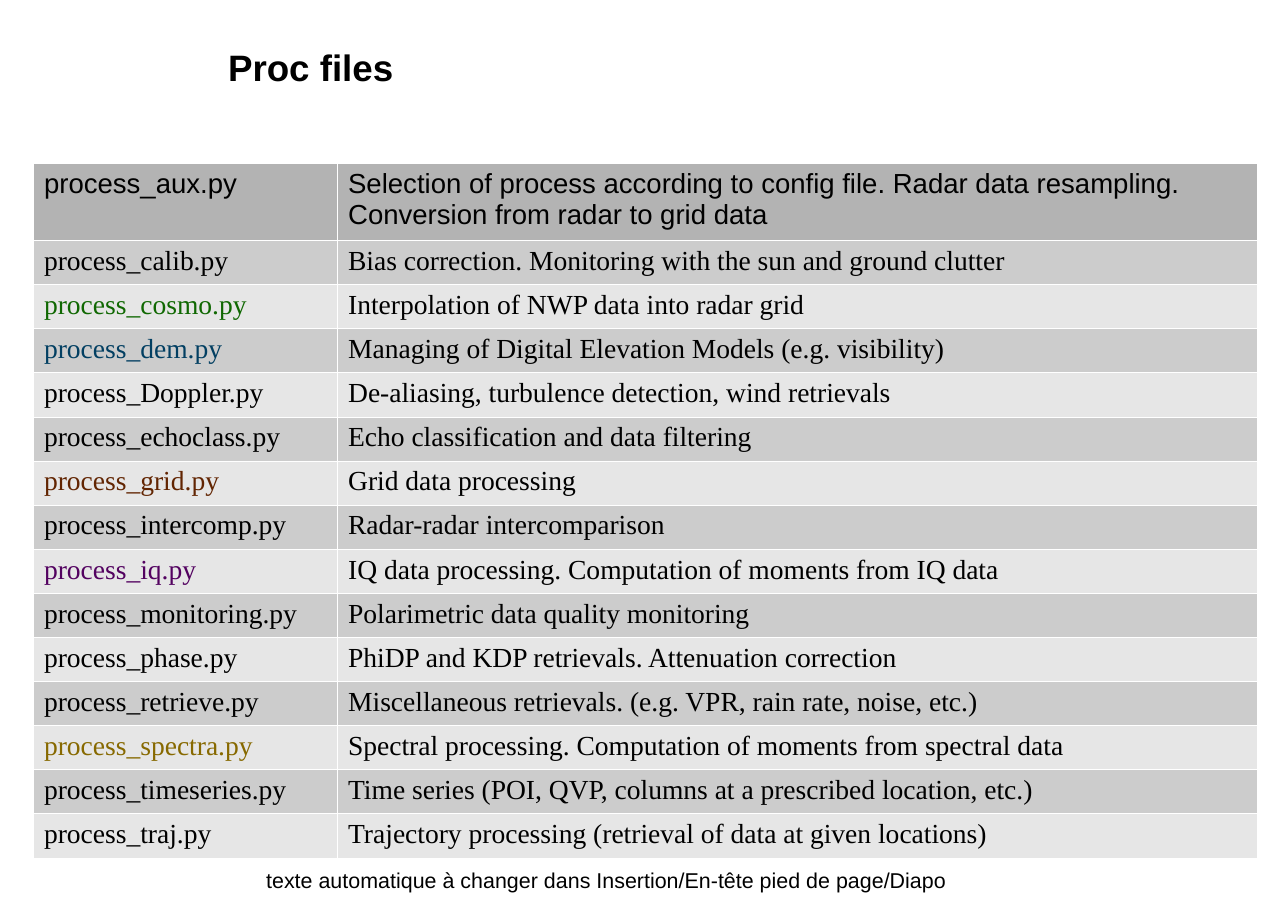
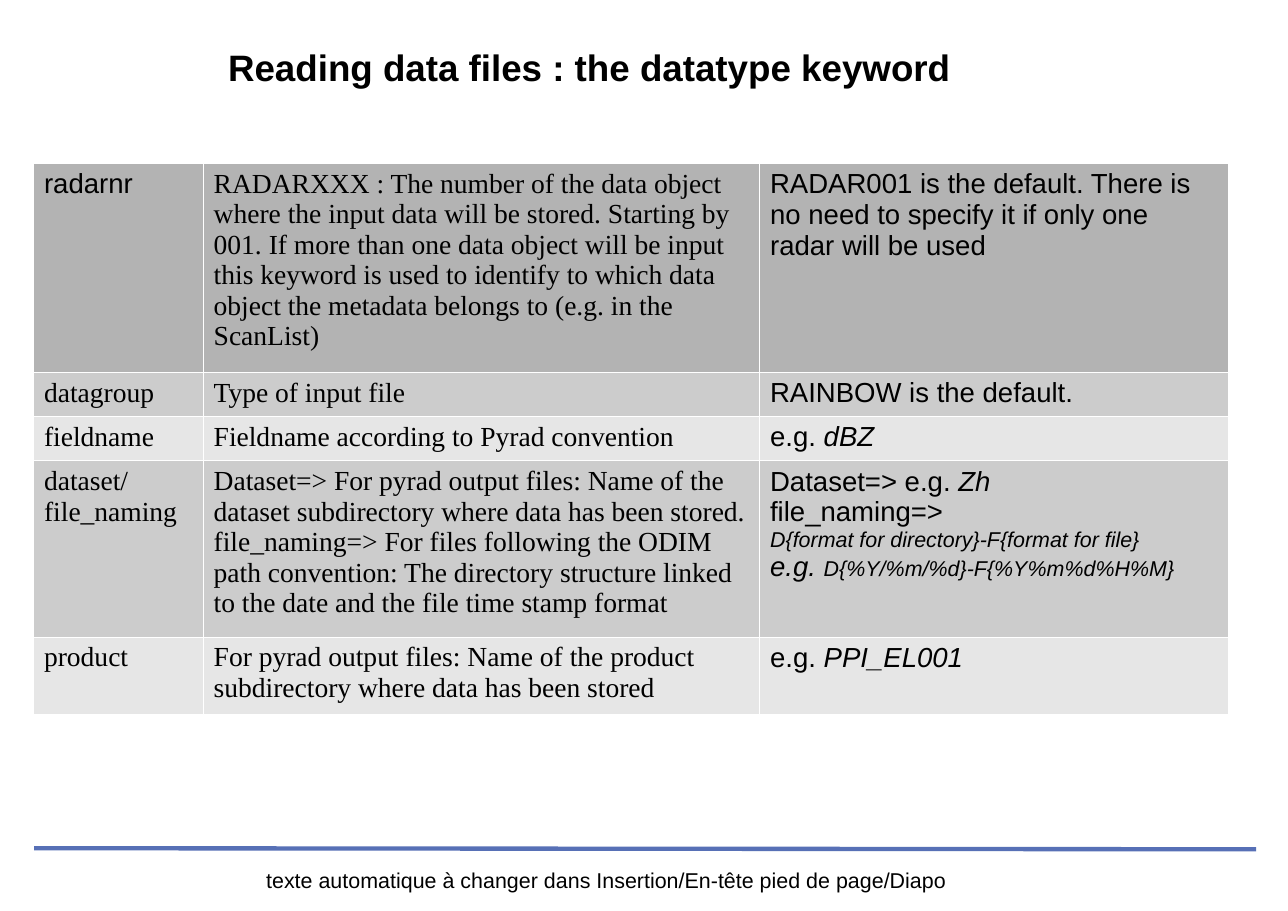
import dataclasses

import lxml.etree
import pptx
import pptx.dml.color
import pptx.enum.shapes
import pptx.enum.text
import pptx.oxml.ns
import pptx.util


@dataclasses.dataclass(frozen=True)
class Theme:
    sans: str = "Arial"
    serif: str = "Times New Roman"
    title_size: int = 24
    body_size: int = 18
    small_size: int = 14
    rule_width: float = 2.83
    border_width: float = 0.06
    ink: str = "000000"
    paper: str = "FFFFFF"
    rule: str = "5770B6"
    first_row: str = "B3B3B3"
    bands: tuple = ("CCCCCC", "E6E6E6")
    green: str = "106802"
    blue: str = "023F62"
    brown: str = "622502"
    purple: str = "530260"
    ochre: str = "876900"


THEME = Theme()

# Grid: square cells, ten to the inch
COLUMNS, ROWS = 116.9, 82.7
TABLE_LEFT, TABLE_TOP = 3, 14.8
ONE_LINE, TWO_LINES, FIVE_LINES, SIX_LINES = 4, 7, 16, 19

FOOTER = "texte automatique à changer dans Insertion/En-tête pied de page/Diapo"

ITALIC = {"italic": True}
SMALL_ITALIC = {"italic": True, "size": THEME.small_size}

PROC_FILES = [
    ("process_aux.py", "Selection of process according to config file. "
     "Radar data resampling. Conversion from radar to grid data"),
    ("process_calib.py", "Bias correction. Monitoring with the sun and ground clutter"),
    ("process_cosmo.py", "Interpolation of NWP data into radar grid"),
    ("process_dem.py", "Managing of Digital Elevation Models (e.g. visibility)"),
    ("process_Doppler.py", "De-aliasing, turbulence detection, wind retrievals"),
    ("process_echoclass.py", "Echo classification and data filtering"),
    ("process_grid.py", "Grid data processing"),
    ("process_intercomp.py", "Radar-radar intercomparison"),
    ("process_iq.py", "IQ data processing. Computation of moments from IQ data"),
    ("process_monitoring.py", "Polarimetric data quality monitoring"),
    ("process_phase.py", "PhiDP and KDP retrievals. Attenuation correction"),
    ("process_retrieve.py", "Miscellaneous retrievals. (e.g. VPR, rain rate, noise, etc.)"),
    ("process_spectra.py", "Spectral processing. Computation of moments from spectral data"),
    ("process_timeseries.py", "Time series (POI, QVP, columns at a prescribed location, etc.)"),
    ("process_traj.py", "Trajectory processing (retrieval of data at given locations)"),
]

FILE_COLORS = {
    "process_cosmo.py": THEME.green,
    "process_dem.py": THEME.blue,
    "process_grid.py": THEME.brown,
    "process_iq.py": THEME.purple,
    "process_spectra.py": THEME.ochre,
}

# A cell is a string or a list of paragraphs; a paragraph is a string or a list of runs
DATATYPE_FIELDS = [
    ("radarnr",
     "RADARXXX : The number of the data object where the input data will be stored. "
     "Starting by 001. If more than one data object will be input this keyword is used "
     "to identify to which data object the metadata belongs to (e.g. in the ScanList)",
     "RADAR001 is the default. There is no need to specify it if only one radar will be used"),
    ("datagroup", "Type of input file", "RAINBOW is the default."),
    ("fieldname", "Fieldname according to Pyrad convention",
     [[("e.g. ", {}), ("dBZ", ITALIC)]]),
    ("dataset/file_naming",
     ["Dataset=> For pyrad output files: Name of the dataset subdirectory "
      "where data has been stored.",
      "file_naming=> For files following the ODIM path convention: The directory "
      "structure linked to the date and the file time stamp format"],
     [[("Dataset=> e.g. ", {}), ("Zh", ITALIC)],
      "file_naming=>",
      [("D{format for directory}-F{format for file}", SMALL_ITALIC)],
      [("e.g. ", ITALIC), ("D{%Y/%m/%d}-F{%Y%m%d%H%M}", SMALL_ITALIC)]]),
    ("product",
     "For pyrad output files: Name of the product subdirectory where data has been stored",
     [[("e.g. ", {}), ("PPI_EL001", ITALIC)]]),
]


def grid(*steps):
    """Turn grid steps into lengths."""
    return [pptx.util.Inches(step / 10) for step in steps]


def rgb(value):
    return pptx.dml.color.RGBColor.from_string(value)


def paint(target, color):
    target.fill.solid()
    target.fill.fore_color.rgb = rgb(color)


def write(text_frame, content, align=None, **style):
    """Fill a text frame; each run may override the shared style."""
    defaults = {"font": THEME.sans, "size": THEME.body_size, "color": THEME.ink,
                "bold": False, "italic": False, **style}
    paragraphs = [content] if isinstance(content, str) else content
    for index, runs in enumerate(paragraphs):
        paragraph = text_frame.add_paragraph() if index else text_frame.paragraphs[0]
        paragraph.alignment = align
        for text, changes in [(runs, {})] if isinstance(runs, str) else runs:
            look = {**defaults, **changes}
            run = paragraph.add_run()
            run.text = text
            run.font.name = look["font"]
            run.font.size = pptx.util.Pt(look["size"])
            run.font.bold = look["bold"]
            run.font.italic = look["italic"]
            run.font.color.rgb = rgb(look["color"])


def add_text(slide, box, text, anchor=pptx.enum.text.MSO_ANCHOR.TOP, **style):
    shape = slide.shapes.add_textbox(*grid(*box))
    frame = shape.text_frame
    frame.word_wrap = True
    frame.vertical_anchor = anchor
    frame.margin_left = frame.margin_top = frame.margin_right = frame.margin_bottom = 0
    write(frame, text, **style)
    return shape


def add_rule(slide, start, end):
    line = slide.shapes.add_connector(
        pptx.enum.shapes.MSO_CONNECTOR.STRAIGHT, *grid(*start, *end))
    line.line.color.rgb = rgb(THEME.rule)
    line.line.width = pptx.util.Pt(THEME.rule_width)
    lxml.etree.SubElement(line._element.spPr, pptx.oxml.ns.qn("a:effectLst"))


def add_borders(cell):
    qn = pptx.oxml.ns.qn
    properties = cell._tc.get_or_add_tcPr()
    for side in ("a:lnL", "a:lnR", "a:lnT", "a:lnB"):
        line = lxml.etree.SubElement(properties, qn(side),
                                     w=str(pptx.util.Pt(THEME.border_width)))
        fill = lxml.etree.SubElement(line, qn("a:solidFill"))
        lxml.etree.SubElement(fill, qn("a:srgbClr"), val=THEME.paper)


def add_banded_table(slide, records, widths, heights, first_fonts, fonts, colors=None):
    table = slide.shapes.add_table(
        len(records), len(widths),
        *grid(TABLE_LEFT, TABLE_TOP, sum(widths), sum(heights))).table
    table.first_row = table.horz_banding = False
    for column, width in zip(table.columns, grid(*widths)):
        column.width = width
    for row, height in zip(table.rows, grid(*heights)):
        row.height = height
    for r, record in enumerate(records):
        band = THEME.bands[(r - 1) % 2] if r else THEME.first_row
        for c, content in enumerate(record):
            cell = table.cell(r, c)
            add_borders(cell)
            paint(cell, band)
            color = (colors or {}).get(record[0], THEME.ink) if c == 0 else THEME.ink
            write(cell.text_frame, content, color=color,
                  font=(fonts if r else first_fonts)[c])


def add_framed_slide(presentation, title):
    """Blank slide with the shared rule, title and footer."""
    slide = presentation.slides.add_slide(presentation.slide_layouts[6])
    add_rule(slide, (3.1, 77), (114, 77.1))
    heading = add_text(slide, (20.7, 2.7, 92.4, 6.7), title, size=THEME.title_size,
                       bold=True, anchor=pptx.enum.text.MSO_ANCHOR.MIDDLE)
    paint(heading, THEME.paper)
    add_text(slide, (14.9, 78.7, 80.3, 3.9), FOOTER, size=THEME.small_size,
             align=pptx.enum.text.PP_ALIGN.CENTER)
    return slide


def main():
    presentation = pptx.Presentation()
    presentation.slide_width, presentation.slide_height = grid(COLUMNS, ROWS)
    sans, serif = THEME.sans, THEME.serif

    # Processing modules
    slide = add_framed_slide(presentation, "Proc files")
    add_banded_table(slide, PROC_FILES, widths=(27.6, 83.5),
                     heights=[TWO_LINES] + [ONE_LINE] * (len(PROC_FILES) - 1),
                     first_fonts=(sans, sans), fonts=(serif, serif), colors=FILE_COLORS)

    # Parts of the datatype keyword
    slide = add_framed_slide(presentation, "Reading data files : the datatype keyword")
    add_banded_table(slide, DATATYPE_FIELDS, widths=(15.4, 50.5, 42.6),
                     heights=(SIX_LINES, ONE_LINE, ONE_LINE, FIVE_LINES, TWO_LINES),
                     first_fonts=(sans, serif, sans), fonts=(serif, serif, sans))

    presentation.save("out.pptx")


if __name__ == "__main__":
    main()
